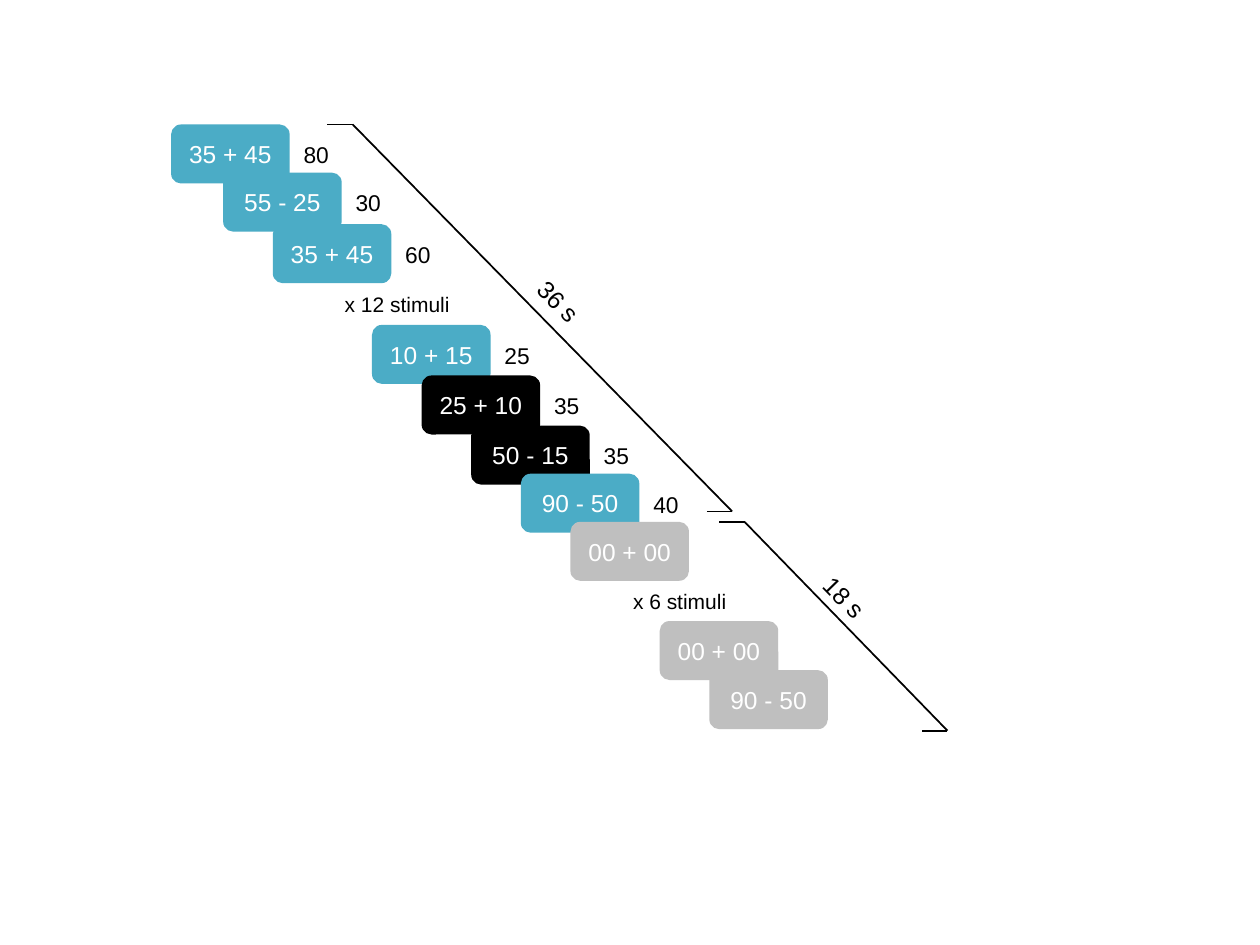
from pptx import Presentation
from pptx.dml.color import RGBColor
from pptx.enum.shapes import MSO_CONNECTOR, MSO_SHAPE
from pptx.enum.text import MSO_ANCHOR, MSO_AUTO_SIZE, PP_ALIGN
from pptx.oxml import parse_xml
from pptx.oxml.ns import nsdecls
from pptx.util import Cm, Pt

COLORS = {
    "task": "4BACC6",
    "switch": "000000",
    "rest": "BFBFBF",
    "ink": "000000",
    "card_text": "FFFFFF",
}
CARD_WIDTH, CARD_HEIGHT = 2.39, 1.19
TICK = 0.51

TRIALS = [
    (3.45, 2.51, "35 + 45", "task", "80"),
    (4.5, 3.48, "55 - 25", "task", "30"),
    (5.5, 4.52, "35 + 45", "task", "60"),
    (7.5, 6.55, "10 + 15", "task", "25"),
    (8.5, 7.57, "25 + 10", "switch", "35"),
    (9.5, 8.58, "50 - 15", "switch", "35"),
    (10.5, 9.55, "90 - 50", "task", "40"),
    (11.5, 10.52, "00 + 00", "rest", None),
    (13.3, 12.52, "00 + 00", "rest", None),
    (14.3, 13.51, "90 - 50", "rest", None),
]
REPEATS = [
    (6.5, 5.54, 2.9, " x 12 stimuli"),
    (12.3, 11.53, 2.69, " x 6 stimuli"),
]
PHASES = [
    ((7.11, 2.51), (14.76, 10.31), (10.52, 5.69), "36 s"),
    ((15.01, 10.52), (19.1, 14.73), (16.28, 11.66), "18 s"),
]


def color(key):
    return RGBColor.from_string(COLORS[key])


def write(frame, text, size, key):
    frame.text = text
    font = frame.paragraphs[0].runs[0].font
    font.name = "Arial"
    font.size = Pt(size)
    font.color.rgb = color(key)


def add_card(slide, left, top, text, fill=None, width=CARD_WIDTH, size=14, ink="card_text"):
    card = slide.shapes.add_shape(
        MSO_SHAPE.ROUNDED_RECTANGLE, Cm(left), Cm(top), Cm(width), Cm(CARD_HEIGHT)
    )
    card.shadow.inherit = False
    card.line.fill.background()
    if fill:
        card.fill.solid()
        card.fill.fore_color.rgb = color(fill)
    else:
        card.fill.background()
    write(card.text_frame, text, size, ink)
    card.text_frame.vertical_anchor = MSO_ANCHOR.MIDDLE
    card.text_frame.paragraphs[0].alignment = PP_ALIGN.CENTER


def add_label(slide, left, top, width, height, text, size, rotation=0):
    label = slide.shapes.add_textbox(Cm(left), Cm(top), Cm(width), Cm(height))
    label.rotation = rotation
    label.text_frame.word_wrap = True
    label.text_frame.auto_size = MSO_AUTO_SIZE.SHAPE_TO_FIT_TEXT
    write(label.text_frame, text, size, "ink")


def add_line(slide, start, end):
    line = slide.shapes.add_connector(
        MSO_CONNECTOR.STRAIGHT, *(Cm(value) for value in (*start, *end))
    )
    line.line.color.rgb = color("ink")
    line.line.width = Pt(1)
    line._element.spPr.append(parse_xml(f"<a:effectLst {nsdecls('a')}/>"))


def add_bracket(slide, start, end):
    add_line(slide, start, end)
    for x, y in (start, end):
        add_line(slide, (x - TICK, y), (x, y))


def main():
    prs = Presentation()
    prs.slide_width, prs.slide_height = Cm(25.4), Cm(19.05)
    slide = prs.slides.add_slide(prs.slide_layouts[6])

    for left, top, problem, fill, answer in TRIALS:
        add_card(slide, left, top, problem, fill)
        if answer:
            add_label(slide, left + 2.42, top + 0.21, 1.09, 0.81, answer, 13)
    for left, top, width, text in REPEATS:
        add_card(slide, left, top, text, width=width, size=12, ink="ink")
    for start, end, (left, top), duration in PHASES:
        add_bracket(slide, start, end)
        add_label(slide, left, top, 1.55, 0.86, duration, 14, rotation=45.8)

    prs.save("out.pptx")


if __name__ == "__main__":
    main()
